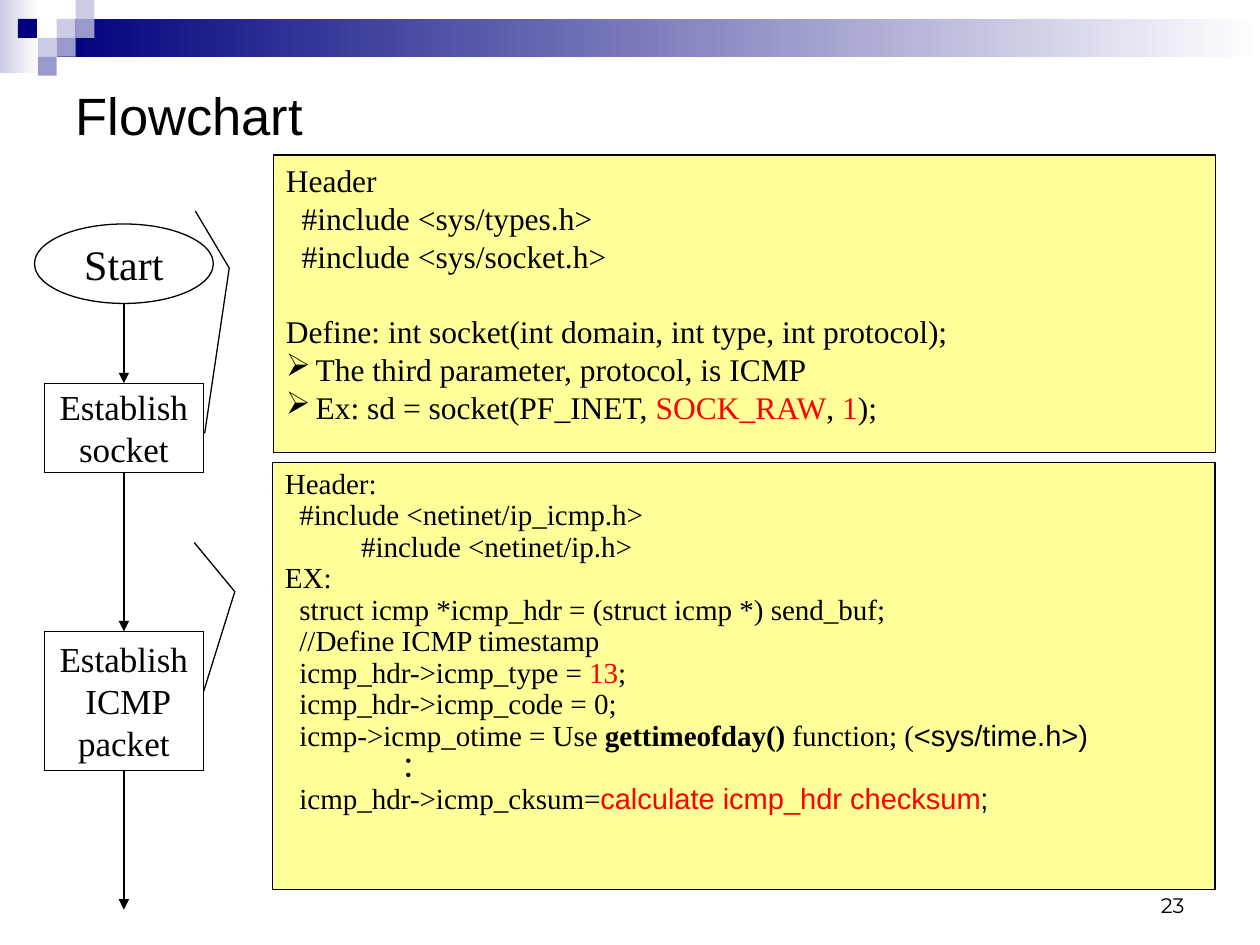
from dataclasses import dataclass

import pptx
import pptx.dml.color
import pptx.enum.dml
import pptx.enum.shapes
import pptx.enum.text
import pptx.oxml
import pptx.oxml.ns
import pptx.util
from lxml import etree

Pt = pptx.util.Pt
SHAPE = pptx.enum.shapes.MSO_SHAPE
ALIGN = pptx.enum.text.PP_ALIGN
ANCHOR = pptx.enum.text.MSO_ANCHOR
TOP, BOTTOM = 0, 2  # connection sites of a rectangle


@dataclass(frozen=True)
class Theme:
    ink: str = "000000"
    paper: str = "FFFFFF"
    note: str = "FFFF99"
    accent: str = "FF0000"
    navy: str = "00007D"
    lilac: str = "9999CC"
    mist: str = "CCCCE6"
    serif: str = "Times New Roman"
    sans: str = "Arial"
    number: str = "Montserrat"
    title_size: float = 30
    start_size: float = 24
    step_size: float = 20
    socket_size: float = 18
    packet_size: float = 16.6
    number_size: float = 12
    line: float = 0.75


def set_all(target, values):
    for name, value in values.items():
        setattr(target, name, value)


def rgb(value):
    return pptx.dml.color.RGBColor.from_string(value)


class SlideBuilder:
    def __init__(self, slide, theme):
        self.slide, self.theme = slide, theme

    def shape(self, kind, box, fill, outlined=True):
        shape = self.slide.shapes.add_shape(kind, *map(Pt, box))
        shape.shadow.inherit = False
        if isinstance(fill, tuple):
            shape.fill.gradient()
            shape.fill.gradient_angle = 0
            for stop, color in zip(shape.fill.gradient_stops, fill):
                stop.color.rgb = rgb(color)
        else:
            shape.fill.solid()
            shape.fill.fore_color.rgb = rgb(fill)
        if outlined:
            shape.line.color.rgb = rgb(self.theme.ink)
            shape.line.width = Pt(self.theme.line)
        else:
            shape.line.fill.background()
        return shape

    def add_lines(self, shape, lines, size, font, frame=None, **paragraph_format):
        """Each line is a string, or a dict with runs, indent, bullet, before."""
        text = shape.text_frame
        set_all(text, {"word_wrap": True, "margin_left": Pt(7.2), "margin_right": Pt(7.2),
                       "margin_top": Pt(3.6), "margin_bottom": Pt(3.6), **(frame or {})})
        for index, line in enumerate(lines):
            if isinstance(line, str):
                line = {"runs": [line]}
            paragraph = text.add_paragraph() if index else text.paragraphs[0]
            set_all(paragraph, {**paragraph_format, "space_before": Pt(line.get("before", 0))})
            self.indent(paragraph, line.get("indent", 0), line.get("bullet"))
            for part in line["runs"]:
                content, look = (part, {}) if isinstance(part, str) else part
                run = paragraph.add_run()
                run.text = content
                set_all(run.font, {"size": Pt(size), "name": look.get("font", font),
                                   "bold": look.get("bold", False)})
                run.font.color.rgb = rgb(look.get("color", self.theme.ink))

    def indent(self, paragraph, left, bullet):
        properties = paragraph._p.get_or_add_pPr()
        properties.set("marL", str(int(Pt(left))))
        properties.set("indent", str(int(Pt(-left if bullet else 0))))
        if bullet:
            mark = etree.SubElement(properties, pptx.oxml.ns.qn("a:buChar"))
            mark.set("char", bullet)

    def label(self, box, text, size, font, anchor, align):
        label = self.slide.shapes.add_textbox(*map(Pt, box))
        self.add_lines(label, [text], size, font, {"vertical_anchor": anchor}, alignment=align)

    def node(self, kind, box, lines, size):
        node = self.shape(kind, box, self.theme.paper)
        self.add_lines(node, lines, size, self.theme.serif,
                       {"vertical_anchor": ANCHOR.MIDDLE, "word_wrap": False},
                       alignment=ALIGN.CENTER, line_spacing=Pt(size * 1.2))
        return node

    def callout(self, box, pointer, lines, size, pitch):
        callout = self.shape(SHAPE.LINE_CALLOUT_2, box, self.theme.note)
        for index, value in enumerate(pointer):
            callout.adjustments[index] = value
        self.add_lines(callout, lines, size, self.theme.serif, {"vertical_anchor": ANCHOR.TOP},
                       alignment=ALIGN.LEFT, line_spacing=Pt(pitch))

    def arrow(self, x, top, bottom, source=None, target=None):
        arrow = self.slide.shapes.add_connector(
            pptx.enum.shapes.MSO_CONNECTOR.STRAIGHT, Pt(x), Pt(top), Pt(x), Pt(bottom))
        if source is not None:
            arrow.begin_connect(source, BOTTOM)
        if target is not None:
            arrow.end_connect(target, TOP)
        arrow.line.color.rgb = rgb(self.theme.ink)
        arrow.line.width = Pt(self.theme.line)
        head = etree.SubElement(arrow.line._get_or_add_ln(), pptx.oxml.ns.qn("a:tailEnd"))
        head.set("type", "triangle")
        etree.SubElement(arrow._element.spPr, pptx.oxml.ns.qn("a:effectLst"))


def main():
    theme = Theme()
    deck = pptx.Presentation()
    set_all(deck, {"slide_width": Pt(720), "slide_height": Pt(540)})
    page = SlideBuilder(deck.slides.add_slide(deck.slide_layouts[6]), theme)

    # Header band and its mosaic of square tiles (column, row, colour)
    page.shape(SHAPE.RECTANGLE, (0, 0, 22.3, 41.8), (theme.mist, theme.paper), False)
    page.shape(SHAPE.RECTANGLE, (32.4, 10.8, 687.6, 21.6), (theme.navy, theme.paper), False)
    tile = 10.8
    for column, row, color in [(3, 1, theme.mist), (4, 0, theme.mist), (4, 1, theme.lilac),
                               (2, 2, theme.mist), (0.95, 1, theme.navy),
                               (3, 2, theme.lilac), (2, 3, theme.lilac)]:
        page.shape(SHAPE.RECTANGLE, (column * tile, row * tile, tile, tile), color, False)

    # Title
    page.label((36, 36, 648, 58.3), "Flowchart", theme.title_size, theme.sans,
               ANCHOR.MIDDLE, ALIGN.LEFT)

    # Flow of steps
    center = 70.8
    page.node(SHAPE.OVAL, (19.7, 128, 102.2, 45.4), ["Start"], theme.start_size)
    socket = page.node(SHAPE.FLOWCHART_PROCESS, (25.4, 219, 90.8, 51),
                       ["Establish", "socket"], theme.step_size)
    packet = page.node(SHAPE.FLOWCHART_PROCESS, (25.4, 360.8, 90.8, 79.4),
                       ["Establish", " ICMP", "packet"], theme.step_size)
    page.arrow(center, 173.4, 219, target=socket)
    page.arrow(center, 270, 360.8, socket, packet)
    page.arrow(center, 440.2, 519.8, source=packet)

    # Socket callout
    red = {"color": theme.accent}
    page.callout((156.3, 88.6, 538.4, 170), (0.188, -0.083, 0.38, -0.047, 0.935, -0.073), [
        "Header",
        {"runs": ["#include <sys/types.h>"], "indent": 9},
        {"runs": ["#include <sys/socket.h>"], "indent": 9},
        {"runs": ["Define: int socket(int domain, int type, int protocol);"], "before": 21.6},
        {"runs": ["The third parameter, protocol, is ICMP"], "indent": 17, "bullet": "➢"},
        {"runs": ["Ex: sd = socket(PF_INET, ", ("SOCK_RAW", red), ", ", ("1", red), ");"],
         "indent": 17, "bullet": "➢"},
    ], theme.socket_size, 21.6)

    # Packet callout
    code = 8.3
    page.callout((155.7, 264.2, 538.6, 244), (0.188, -0.083, 0.303, -0.04, 0.536, -0.073), [
        "Header:",
        {"runs": ["#include <netinet/ip_icmp.h>"], "indent": code},
        {"runs": ["#include <netinet/ip.h>"], "indent": 43.5},
        "EX:",
        {"runs": ["struct icmp *icmp_hdr = (struct icmp *) send_buf;"], "indent": code},
        {"runs": ["//Define ICMP timestamp"], "indent": code},
        {"runs": ["icmp_hdr->icmp_type = ", ("13", red), ";"], "indent": code},
        {"runs": ["icmp_hdr->icmp_code = 0;"], "indent": code},
        {"runs": ["icmp->icmp_otime = Use ", ("gettimeofday() ", {"bold": True}),
                  "function; (", ("<sys/time.h>)", {"font": theme.sans})], "indent": code},
        {"runs": ["："], "indent": 8 * code},
        {"runs": ["icmp_hdr->icmp_cksum=",
                  ("calculate icmp_hdr checksum", {"font": theme.sans, **red}),
                  (";", {"font": theme.sans})], "indent": code},
    ], theme.packet_size, 18)

    # Page number
    page.label((516.2, 491.8, 167.8, 36), "23", theme.number_size, theme.number,
               ANCHOR.BOTTOM, ALIGN.RIGHT)

    deck.save("out.pptx")


if __name__ == "__main__":
    main()
